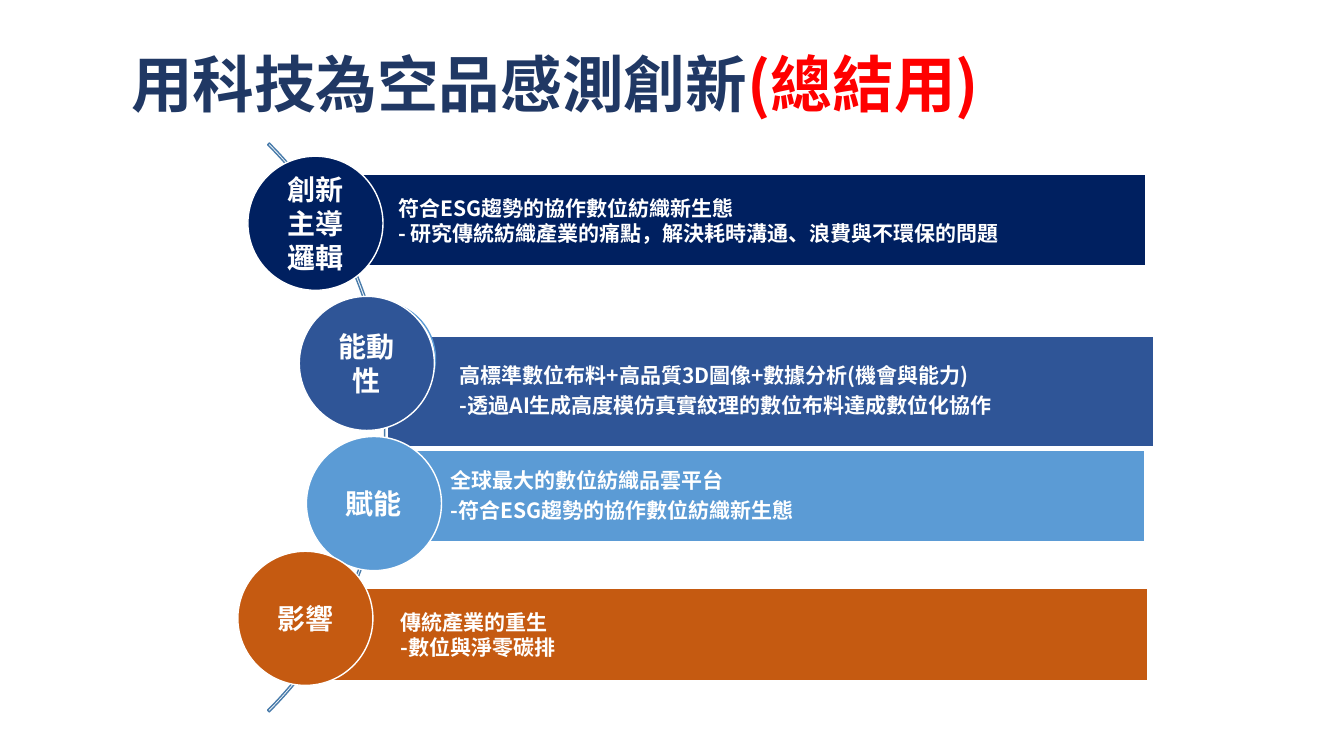
from pptx import Presentation
from pptx.dml.color import RGBColor
from pptx.enum.shapes import MSO_SHAPE
from pptx.enum.text import MSO_ANCHOR, MSO_AUTO_SIZE, PP_ALIGN
from pptx.oxml.ns import qn
from pptx.util import Pt
from lxml import etree

ARC, BAR, CIRCLE = MSO_SHAPE.BLOCK_ARC, MSO_SHAPE.RECTANGLE, MSO_SHAPE.OVAL
TOP, MIDDLE = MSO_ANCHOR.TOP, MSO_ANCHOR.MIDDLE
LEFT, CENTER = PP_ALIGN.LEFT, PP_ALIGN.CENTER

FONT = "Noto Sans CJK SC"
WHITE = RGBColor(0xFF, 0xFF, 0xFF)
NAVY = RGBColor(0x00, 0x20, 0x60)
BLUE = RGBColor(0x2F, 0x55, 0x97)
SKY = RGBColor(0x5B, 0x9B, 0xD5)
ORANGE = RGBColor(0xC5, 0x5A, 0x11)
ARC_BLUE = RGBColor(0x49, 0x7C, 0xAB)
TITLE_BLUE = RGBColor(0x20, 0x38, 0x64)
RED = RGBColor(0xFF, 0x00, 0x00)

# Content: title runs, then one stage per row (boxes in points)
TITLE = [("用科技為空品感測創新", TITLE_BLUE), ("(總結用)", RED)]
STAGES = [
    dict(label=["創新", "主導", "邏輯"], color=NAVY, circle=(177.1, 111.6),
         bar=(232.6, 124.6, 586, 65.5), loose=False,
         lines=["符合ESG趨勢的協作數位紡織新生態",
                "- 研究傳統紡織產業的痛點，解決耗時溝通、浪費與不環保的問題"]),
    dict(label=["能動性"], color=BLUE, circle=(213.8, 211.7),
         bar=(276.5, 240.5, 548, 78.5), loose=True,
         lines=["高標準數位布料+高品質3D圖像+數據分析(機會與能力)",
                "-透過AI生成高度模仿真實紋理的數位布料達成數位化協作"]),
    dict(label=["賦能"], color=SKY, circle=(218.9, 311.8),
         bar=(270, 321.8, 548, 65.5), loose=True,
         lines=["全球最大的數位紡織品雲平台",
                "-符合ESG趨勢的協作數位紡織新生態"]),
    dict(label=["影響"], color=ORANGE, circle=(169.9, 393.8),
         bar=(234, 420.5, 586, 65.5), loose=False,
         lines=["傳統產業的重生", "-數位與淨零碳排"]),
]
CIRCLE_SIZE = (96.5, 95.8)
RIM = (229, 215.3, 82.1, 82.1)
ARC_BOX = (-298.1, 18, 574.6, 574.6)
TITLE_BOX = (86.4, 35.3, 823, 104.4)


def style_font(paragraph, size, color=None):
    font = paragraph.font
    font.name, font.size, font.bold = FONT, Pt(size), True
    if color is not None:
        font.color.rgb = color
    latin = paragraph._p.pPr.find(qn("a:defRPr")).find(qn("a:latin"))
    east_asian = etree.Element(qn("a:ea"), typeface=FONT)
    latin.addnext(east_asian)


def add_outline(kind, box, fill, line):
    shape = slide.shapes.add_shape(kind, *map(Pt, box))
    shape.shadow.inherit = False
    if fill is None:
        shape.fill.background()
    else:
        shape.fill.solid()
        shape.fill.fore_color.rgb = fill
    shape.line.color.rgb = line
    shape.line.width = Pt(1)
    return shape


def write_lines(shape, lines, size, align, loose=False):
    frame = shape.text_frame
    frame.word_wrap = True
    frame.vertical_anchor = MIDDLE
    frame.text = "\n".join(lines)
    for paragraph in frame.paragraphs:
        paragraph.alignment = align
        if loose:
            paragraph.line_spacing = 0.9
            paragraph.space_after = Pt(5.25)
        style_font(paragraph, size, WHITE)


prs = Presentation()
prs.slide_width, prs.slide_height = Pt(960), Pt(540)
slide = prs.slides.add_slide(prs.slide_layouts[5])

# Title
title = slide.shapes.title
title.left, title.top, title.width, title.height = map(Pt, TITLE_BOX)
title.text_frame.auto_size = MSO_AUTO_SIZE.NONE
title.text_frame.word_wrap = True
title.text_frame.vertical_anchor = TOP
heading = title.text_frame.paragraphs[0]
heading.alignment = LEFT
heading.line_spacing = 0.9
style_font(heading, 44)
for text, color in TITLE:
    run = heading.add_run()
    run.text = text
    run.font.color.rgb = color

# Arc linking the stages, from 315 to 45 degrees
arc = add_outline(ARC, ARC_BOX, None, ARC_BLUE)
for index, value in enumerate((189, 27, 0.003)):
    arc.adjustments[index] = value

# Bars with the description of each stage
for stage in STAGES:
    bar = add_outline(BAR, stage["bar"], stage["color"], WHITE)
    frame = bar.text_frame
    frame.margin_left = Pt(52)
    frame.margin_top = frame.margin_right = frame.margin_bottom = Pt(3)
    write_lines(bar, stage["lines"], 15, LEFT, stage["loose"])

# Rim showing beside the second circle
add_outline(CIRCLE, RIM, WHITE, SKY)

# Circles with the stage names
for stage in STAGES:
    circle = add_outline(CIRCLE, stage["circle"] + CIRCLE_SIZE, stage["color"], WHITE)
    write_lines(circle, stage["label"], 20, CENTER)

prs.save("out.pptx")
